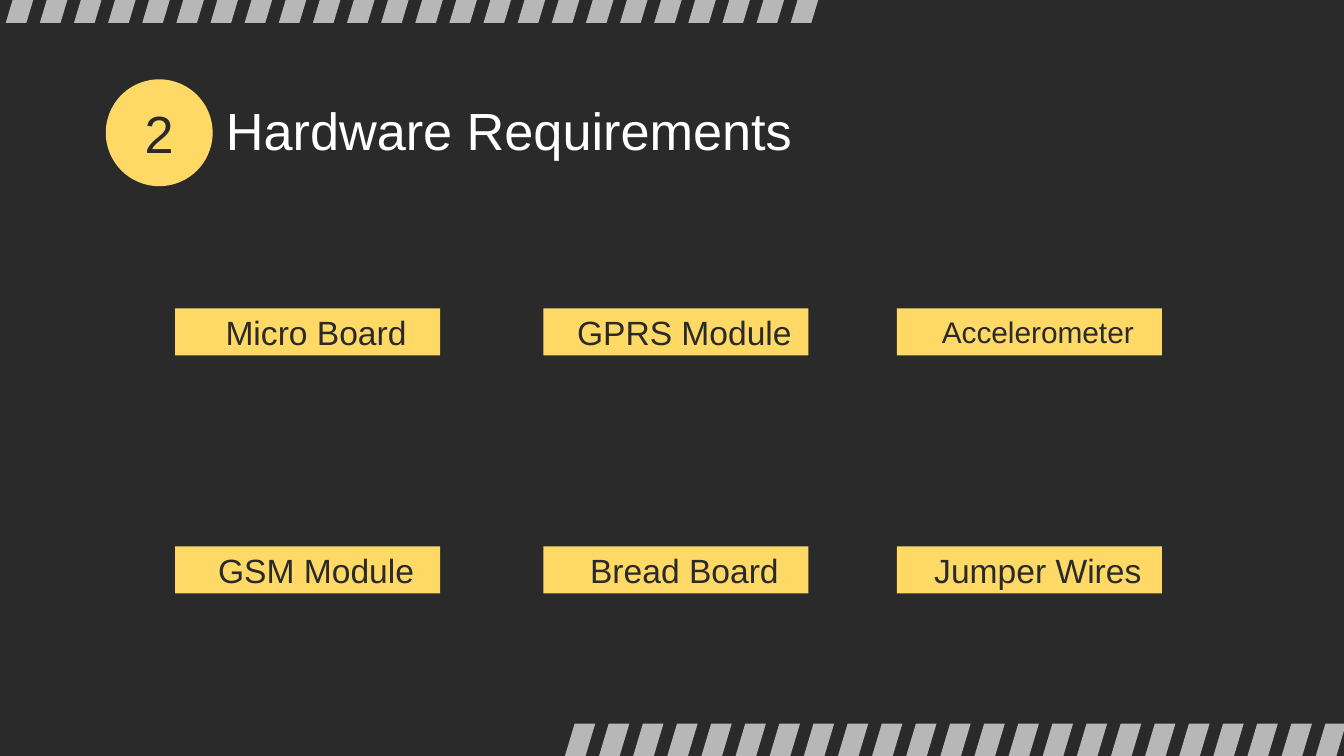
from pptx import Presentation
from pptx import util as u
from pptx.dml import color
from pptx.enum import shapes, text

Cm = u.Cm
COLORS = {"dark": "2A2A2A", "yellow": "FFD966", "grey": "B7B7B7", "white": "FFFFFF"}


def rgb(name):
    return color.RGBColor.from_string(COLORS[name])


def write(sp, content, size=18, fill="dark", align=None, left=0, hanging=0):
    tf = sp.text_frame
    tf.word_wrap = True
    tf.auto_size = text.MSO_AUTO_SIZE.NONE
    tf.vertical_anchor = text.MSO_ANCHOR.MIDDLE
    tf.margin_left = tf.margin_right = tf.margin_top = tf.margin_bottom = Cm(0.25)
    p = tf.paragraphs[0]
    p.alignment = align
    if left:
        pPr = p._p.get_or_add_pPr()
        pPr.set("marL", str(Cm(left)))
        pPr.set("indent", str(-Cm(hanging)))
    r = p.add_run()
    r.text = content
    r.font.name = "Arial"
    r.font.size = u.Pt(size)
    r.font.color.rgb = rgb(fill)


def paint(sp, fill):
    sp.shadow.inherit = False
    sp.fill.solid()
    sp.fill.fore_color.rgb = rgb(fill)
    sp.line.fill.background()


def add_block(s, kind, x, y, w, h):
    sp = s.shapes.add_shape(kind, Cm(x), Cm(y), Cm(w), Cm(h))
    paint(sp, "yellow")
    return sp


def add_stripes(s, x, y, h, count, pitch=0.645, slant=0.44, bar=0.39):
    for i in range(count):
        left = x + i * pitch
        points = [(left, y + h), (left + bar, y + h), (left + slant + bar, y)]
        outline = s.shapes.build_freeform(Cm(left + slant), Cm(y))
        outline.add_line_segments([(Cm(px), Cm(py)) for px, py in points], close=True)
        paint(outline.convert_to_shape(), "grey")


def add_header(s, x, y, w, h, number, heading):
    title = s.shapes.title
    title.left, title.top = Cm(x + 2.02), Cm(y + 0.15)
    title.width, title.height = Cm(w - 2.02), Cm(1.6)
    write(title, heading, size=28, fill="white", align=text.PP_ALIGN.LEFT)
    badge = add_block(s, shapes.MSO_SHAPE.OVAL, x, y, h, h)
    write(badge, number, size=28, align=text.PP_ALIGN.CENTER)


def add_parts(s, x, y, offsets, row_pitch, w, h, rows):
    for i, row in enumerate(rows):
        for offset, (name, size) in zip(offsets, row):
            label = add_block(s, shapes.MSO_SHAPE.RECTANGLE,
                              x + offset, y + i * row_pitch, w, h)
            write(label, name, size=size, align=text.PP_ALIGN.CENTER,
                  left=1.27, hanging=0.95)


def main():
    prs = Presentation()
    prs.slide_width, prs.slide_height = Cm(25.4), Cm(14.29)
    s = prs.slides.add_slide(prs.slide_layouts[5])
    s.background.fill.solid()
    s.background.fill.fore_color.rgb = rgb("dark")

    add_stripes(s, 0.11, -1.04, 1.47, 24)
    add_stripes(s, 10.42, 13.68, 1.47, 23)
    add_header(s, 2, 1.5, 16.44, 2.02, "2", "Hardware Requirements")
    add_parts(s, 3.31, 5.83, (0, 6.96, 13.64), 4.5, 5.01, 0.89, [
        [("Micro Board", 18), ("GPRS Module", 18), ("Accelerometer", 16)],
        [("GSM Module", 18), ("Bread Board", 18), ("Jumper Wires", 18)],
    ])
    prs.save("out.pptx")


if __name__ == "__main__":
    main()
